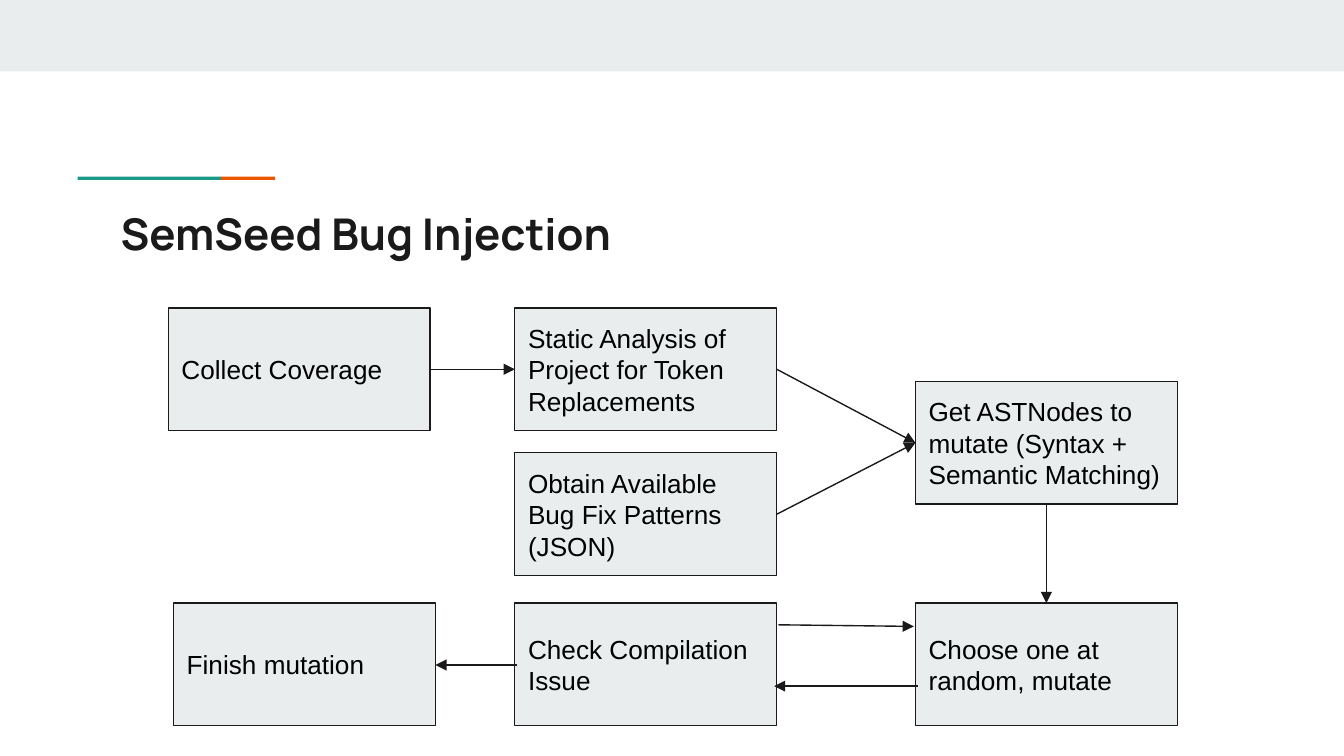
import pptx
import pptx.dml.color
import pptx.enum.shapes
import pptx.enum.text
import pptx.oxml.ns
import pptx.util
from lxml import etree
from pptx.util import Cm

INK, PALE, TEAL, ORANGE = "1A1A1A", "E9EDEE", "1A9988", "EB5600"
STEP_WIDTH, STEP_HEIGHT = 4.95, 2.32
LEFT_COLUMN, MIDDLE_COLUMN, RIGHT_COLUMN = 3.18, 9.73, 17.3
TOP_ROW, SECOND_ROW, BOTTOM_ROW = 5.82, 8.56, 11.4
TOP, LEFT, BOTTOM, RIGHT = range(4)  # connection sites of a rectangle


def colour(value):
    return pptx.dml.color.RGBColor.from_string(value)


def write(shape, text, font="Arial", size=14, color="000000", bold=False,
          anchor=pptx.enum.text.MSO_ANCHOR.MIDDLE):
    frame = shape.text_frame
    frame.word_wrap = True
    frame.auto_size = pptx.enum.text.MSO_AUTO_SIZE.NONE
    frame.vertical_anchor = anchor
    frame.margin_left = frame.margin_right = Cm(0.25)
    frame.margin_top = frame.margin_bottom = Cm(0.25)
    paragraph = frame.paragraphs[0]
    paragraph.alignment = pptx.enum.text.PP_ALIGN.LEFT
    run = paragraph.add_run()
    run.text = text
    run.font.name = font
    run.font.size = pptx.util.Pt(size)
    run.font.bold = bold
    run.font.color.rgb = colour(color)


def add_bar(slide, left, top, width, height, fill):
    bar = slide.shapes.add_shape(pptx.enum.shapes.MSO_SHAPE.RECTANGLE,
                                 Cm(left), Cm(top), Cm(width), Cm(height))
    bar.shadow.inherit = False
    bar.fill.solid()
    bar.fill.fore_color.rgb = colour(fill)
    bar.line.fill.background()
    return bar


def add_step(slide, left, top, text):
    step = add_bar(slide, left, top, STEP_WIDTH, STEP_HEIGHT, PALE)
    step.line.color.rgb = colour(INK)
    step.line.width = pptx.util.Pt(0.75)
    write(step, text)
    return step


def add_arrow(slide, start=(0, 0), end=(0, 0)):
    arrow = slide.shapes.add_connector(
        pptx.enum.shapes.MSO_CONNECTOR.STRAIGHT,
        *(Cm(length) for length in (*start, *end)))
    arrow.line.color.rgb = colour(INK)
    arrow.line.width = pptx.util.Pt(0.75)
    qn = pptx.oxml.ns.qn
    etree.SubElement(arrow.line._get_or_add_ln(), qn("a:tailEnd"), type="triangle")
    etree.SubElement(arrow._element.spPr, qn("a:effectLst"))
    return arrow


def link_steps(slide, source, source_site, target, target_site):
    arrow = add_arrow(slide)
    arrow.begin_connect(source, source_site)
    arrow.end_connect(target, target_site)


def add_title(slide, text):
    title = slide.shapes.title
    title.left, title.top = Cm(2.03), Cm(3.66)
    title.width, title.height = Cm(21.36), Cm(1.5)
    write(title, text, font="Manrope", size=23.4, color=INK, bold=True,
          anchor=pptx.enum.text.MSO_ANCHOR.TOP)


def main():
    deck = pptx.Presentation()
    deck.slide_width, deck.slide_height = Cm(25.4), Cm(14.29)
    slide = deck.slides.add_slide(deck.slide_layouts[5])

    # Header band and two-colour accent line
    add_bar(slide, 0, 0, 25.4, 1.35, PALE)
    add_bar(slide, 1.47, 3.34, 2.71, 0.06, TEAL)
    add_bar(slide, 4.18, 3.34, 1.02, 0.06, ORANGE)
    add_title(slide, "SemSeed Bug Injection")

    # Steps of the mutation process
    coverage = add_step(slide, LEFT_COLUMN, TOP_ROW, "Collect Coverage")
    analysis = add_step(slide, MIDDLE_COLUMN, TOP_ROW,
                        "Static Analysis of Project for Token Replacements")
    patterns = add_step(slide, MIDDLE_COLUMN, SECOND_ROW,
                        "Obtain Available Bug Fix Patterns (JSON)")
    matching = add_step(slide, RIGHT_COLUMN, (TOP_ROW + SECOND_ROW) / 2 + 0.02,
                        "Get ASTNodes to mutate (Syntax + Semantic Matching)")
    mutation = add_step(slide, RIGHT_COLUMN, BOTTOM_ROW, "Choose one at random, mutate")
    add_step(slide, MIDDLE_COLUMN, BOTTOM_ROW, "Check Compilation Issue")
    add_step(slide, LEFT_COLUMN + 0.1, BOTTOM_ROW, "Finish mutation")

    # Flow towards the mutation
    link_steps(slide, coverage, RIGHT, analysis, LEFT)
    link_steps(slide, analysis, RIGHT, matching, LEFT)
    link_steps(slide, patterns, RIGHT, matching, LEFT)
    link_steps(slide, matching, BOTTOM, mutation, TOP)

    # Compilation check loop and exit
    add_arrow(slide, (17.35, 12.97), (14.63, 12.97))
    add_arrow(slide, (14.71, 11.81), (17.27, 11.84))
    add_arrow(slide, (9.78, 12.57), (8.23, 12.57))

    deck.save("out.pptx")


if __name__ == "__main__":
    main()
